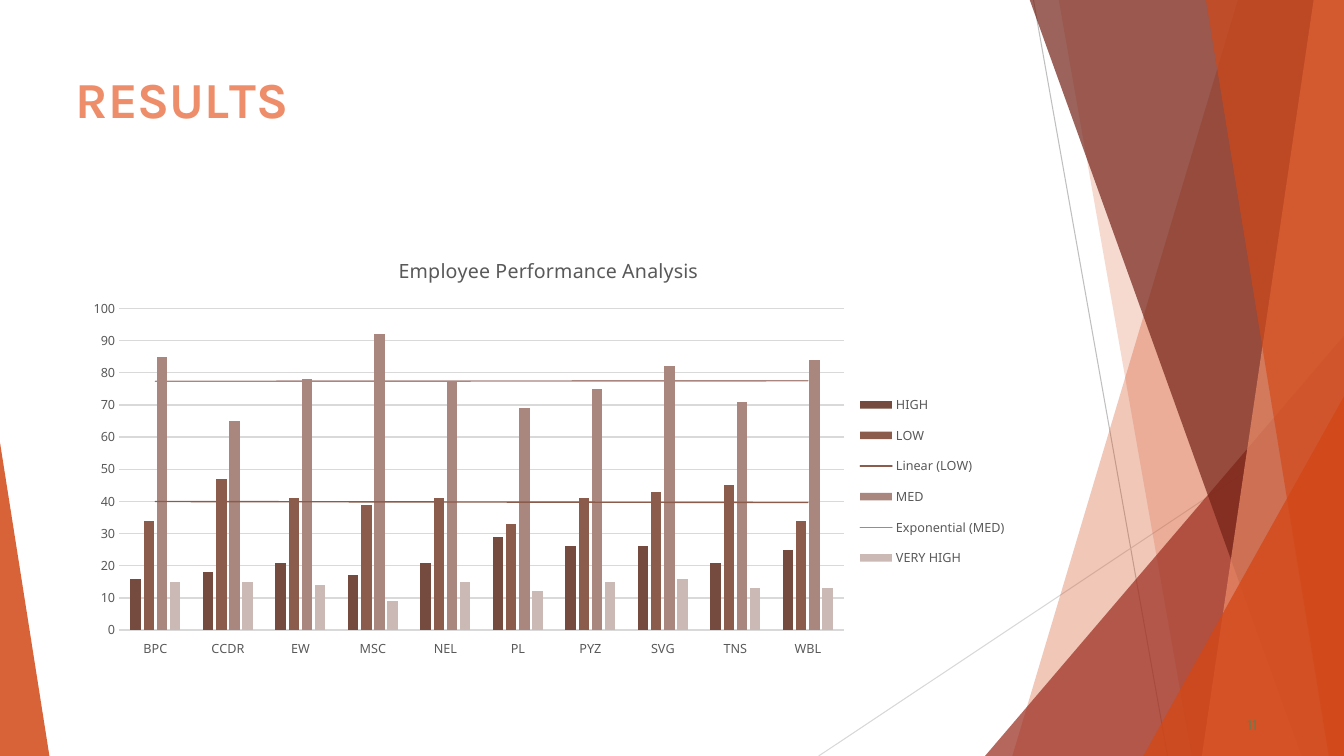
from dataclasses import dataclass

from lxml import etree
from pptx import Presentation
from pptx.chart.data import CategoryChartData
from pptx.dml.color import RGBColor
from pptx.enum import chart as ch, shapes, text
from pptx.oxml import ns, parse_xml
from pptx.util import Inches, Pt


@dataclass(frozen=True)
class Theme:
    head: str = "Karla"
    body: str = "Noto Sans"
    coral: str = "EE8D6A"
    rust: str = "D34817"
    brick: str = "9B2D1F"
    wine: str = "732217"
    green: str = "2D936B"
    gray: str = "595959"
    rule: str = "D9D9D9"
    title: float = 36
    page: float = 11
    cap: float = 14
    tick: float = 9


T = Theme()
WIDE, HIGH = 13.33, 7.5
TOP = -0.01

# Facets from back to front: points, colour, opacity in percent
FACETS = [
    ([(12.28, TOP), (WIDE, TOP), (WIDE, HIGH), (10.04, HIGH)], T.rust, 30),
    ([(10.5, TOP), (WIDE, TOP), (WIDE, HIGH), (11.82, HIGH)], T.rust, 20),
    ([(9.77, HIGH), (WIDE, 3.33), (WIDE, HIGH)], T.brick, 72),
    ([(10.21, TOP), (WIDE, TOP), (WIDE, HIGH), (12.91, HIGH)], T.wine, 70),
    ([(13.03, TOP), (WIDE, TOP), (WIDE, HIGH), (11.92, HIGH)], T.coral, 70),
    ([(11.96, TOP), (WIDE, TOP), (WIDE, HIGH), (13.18, HIGH)], T.rust, 65),
    ([(11.34, HIGH), (WIDE, 3.93), (WIDE, HIGH)], T.rust, 80),
    ([(0, HIGH), (0, 4.39), (0.49, HIGH)], T.rust, 85),
]
RAYS = [((10.25, 0), (11.58, HIGH), "BFBFBF"),
        ((WIDE, 4.03), (8.12, HIGH), "D8D8D8")]

# Chart data: name, values, colour, trend type
CATS = ["BPC", "CCDR", "EW", "MSC", "NEL", "PL", "PYZ", "SVG", "TNS", "WBL"]
SERIES = [
    ("HIGH", [16, 18, 21, 17, 21, 29, 26, 26, 21, 25], "744B3E", None),
    ("LOW", [34, 47, 41, 39, 41, 33, 41, 43, 45, 34], "8B5B4B", "linear"),
    ("MED", [85, 65, 78, 92, 77, 69, 75, 82, 71, 84], "A9877E", "exp"),
    ("VERY HIGH", [15, 15, 14, 9, 15, 12, 15, 16, 13, 13], "CAB9B5", None),
]


def rgb(code):
    return RGBColor.from_string(code)


def style(font, size, color, face, bold=False):
    font.size, font.name, font.bold = Pt(size), face, bold
    font.color.rgb = rgb(color)


def write(frame, runs, size, color, face, bold=False, before=0, indent=0):
    """Fill a text frame with (text, letter spacing in points) runs."""
    frame.word_wrap = True
    frame.auto_size = text.MSO_AUTO_SIZE.NONE
    frame.vertical_anchor = text.MSO_ANCHOR.TOP
    frame.margin_left = frame.margin_right = frame.margin_bottom = 0
    frame.margin_top = Inches(0.01)
    para = frame.paragraphs[0]
    para.alignment = text.PP_ALIGN.LEFT
    para.space_before = Pt(before)
    props = para._p.get_or_add_pPr()
    props.set("marL", str(Inches(indent)))
    props.set("indent", "0")
    for part, gap in runs:
        run = para.add_run()
        run.text = part
        style(run.font, size, color, face, bold)
        run._r.get_or_add_rPr().set("spc", str(round(gap * 100)))


def facet(slide, points, color, alpha):
    spots = [(Inches(x), Inches(y)) for x, y in points]
    pen = slide.shapes.build_freeform(*spots[0])
    pen.add_line_segments(spots[1:], close=True)
    shape = pen.convert_to_shape()
    shape.shadow.inherit = False
    shape.line.fill.background()
    shape.fill.solid()
    shape.fill.fore_color.rgb = rgb(color)
    tint = shape._element.spPr.find(".//" + ns.qn("a:srgbClr"))
    etree.SubElement(tint, ns.qn("a:alpha"), val=str(alpha * 1000))


def ray(slide, start, end, color):
    line = slide.shapes.add_connector(
        shapes.MSO_CONNECTOR.STRAIGHT, *map(Inches, start + end))
    line.line.color.rgb = rgb(color)
    line.line.width = Pt(0.75)
    etree.SubElement(line._element.spPr, ns.qn("a:effectLst"))


def backdrop(slide):
    for item in RAYS:
        ray(slide, *item)
    for item in FACETS:
        facet(slide, *item)


def heading(slide, box):
    title = slide.shapes.title
    title.left, title.top, title.width, title.height = map(Inches, box)
    runs = [("R", 0), ("E", -0.4), ("S", 0.1), ("U", -0.3), ("L", -4), ("TS", 0)]
    write(title.text_frame, runs, T.title, T.coral, T.head,
          bold=True, before=1.1, indent=0.01)


def number(slide, box):
    label = slide.shapes.add_textbox(*map(Inches, box))
    write(label.text_frame, [("11", 0.1)], T.page, T.green, T.head,
          before=0.5, indent=0.04)


def trend(series, kind, color):
    node = parse_xml(
        f'<c:trendline {ns.nsdecls("c", "a")}><c:spPr><a:ln w="{Pt(1)}" cap="rnd">'
        f'<a:solidFill><a:srgbClr val="{color}"/></a:solidFill></a:ln></c:spPr>'
        f'<c:trendlineType val="{kind}"/><c:dispRSqr val="0"/>'
        '<c:dispEq val="0"/></c:trendline>')
    series._element.find(ns.qn("c:cat")).addprevious(node)


def layout(x, y, w, h, inner=False):
    """Manual layout, in fractions of the chart frame."""
    target = '<c:layoutTarget val="inner"/>' if inner else ""
    return parse_xml(
        f'<c:layout {ns.nsdecls("c")}><c:manualLayout>{target}'
        '<c:xMode val="edge"/><c:yMode val="edge"/>'
        f'<c:x val="{x}"/><c:y val="{y}"/><c:w val="{w}"/><c:h val="{h}"/>'
        '</c:manualLayout></c:layout>')


def place(chart):
    plot = chart._chartSpace.chart.plotArea
    for old in plot.findall(ns.qn("c:layout")):
        plot.remove(old)
    plot.insert(0, layout(0.047, 0.165, 0.765, 0.753, inner=True))
    key = chart.legend._element
    for old in key.findall(ns.qn("c:layout")):
        key.remove(old)
    key.find(ns.qn("c:legendPos")).addnext(layout(0.82, 0.34, 0.17, 0.46))


def results(slide, box):
    data = CategoryChartData()
    data.categories = CATS
    for name, vals, *_ in SERIES:
        data.add_series(name, vals)
    chart = slide.shapes.add_chart(
        ch.XL_CHART_TYPE.COLUMN_CLUSTERED, *map(Inches, box), data).chart
    style(chart.font, T.tick, T.gray, T.body)

    # Title and legend
    chart.has_title = True
    para = chart.chart_title.text_frame.paragraphs[0]
    run = para.add_run()
    run.text = "Employee Performance Analysis"
    style(run.font, T.cap, T.gray, T.body)
    chart.has_legend = True
    chart.legend.position = ch.XL_LEGEND_POSITION.RIGHT
    chart.legend.include_in_layout = False
    style(chart.legend.font, T.tick, T.gray, T.body)

    # Axes
    cat, val = chart.category_axis, chart.value_axis
    for axis in (cat, val):
        axis.major_tick_mark = axis.minor_tick_mark = ch.XL_TICK_MARK.NONE
        style(axis.tick_labels.font, T.tick, T.gray, T.body)
    cat.tick_label_position = ch.XL_TICK_LABEL_POSITION.LOW
    val.minimum_scale, val.maximum_scale, val.major_unit = 0, 100, 10
    val.format.line.fill.background()
    for line in (cat.format.line, val.major_gridlines.format.line):
        line.color.rgb = rgb(T.rule)
        line.width = Pt(1)

    # Columns and trend lines
    plot = chart.plots[0]
    plot.gap_width, plot.overlap, plot.vary_by_categories = 219, -27, False
    for series, (_, _, color, kind) in zip(plot.series, SERIES):
        series.format.fill.solid()
        series.format.fill.fore_color.rgb = rgb(color)
        if kind:
            trend(series, kind, color)
    place(chart)


def main():
    deck = Presentation()
    deck.slide_width, deck.slide_height = Inches(WIDE), Inches(HIGH)
    slide = deck.slides.add_slide(deck.slide_layouts.get_by_name("Title Only"))
    backdrop(slide)
    heading(slide, (0.74, 0.67, 9.4, 1.44))
    number(slide, (12.33, 7.08, 0.25, 0.22))
    results(slide, (0.74, 2.36, 9.4, 4.24))
    deck.save("out.pptx")


if __name__ == "__main__":
    main()
